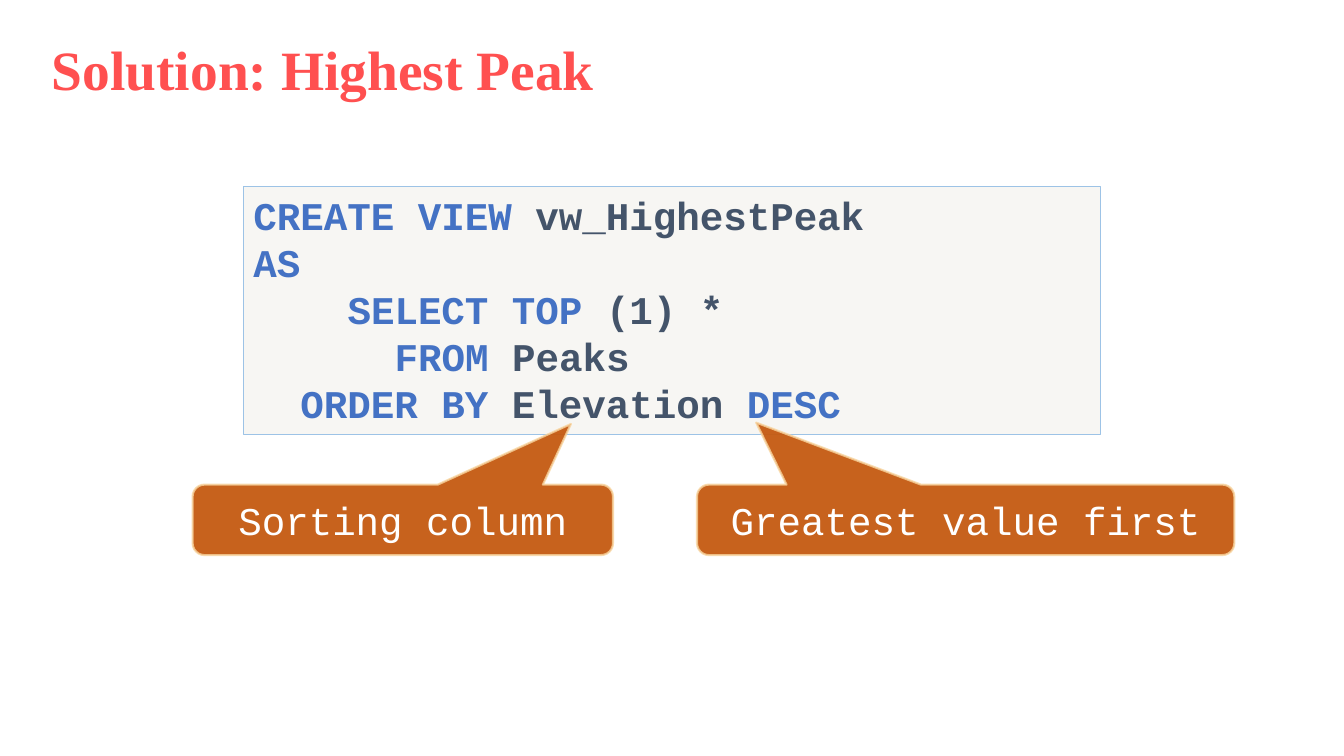
from lxml import etree
from pptx import Presentation
from pptx.dml.color import RGBColor
from pptx.enum.shapes import MSO_SHAPE
from pptx.enum.text import MSO_ANCHOR, PP_ALIGN
from pptx.oxml.ns import qn
from pptx.util import Inches, Pt

RECTANGLE = MSO_SHAPE.RECTANGLE
CALLOUT = MSO_SHAPE.ROUNDED_RECTANGULAR_CALLOUT
TOP, MIDDLE = MSO_ANCHOR.TOP, MSO_ANCHOR.MIDDLE
LEFT, CENTER = PP_ALIGN.LEFT, PP_ALIGN.CENTER

RED = RGBColor(0xFF, 0x50, 0x50)
KEYWORD = RGBColor(0x44, 0x72, 0xC4)
NAME = RGBColor(0x44, 0x54, 0x6A)
BEIGE = RGBColor(0xD9, 0xD5, 0xC7)
SKY = RGBColor(0x9D, 0xC3, 0xE6)
ORANGE = RGBColor(0xC5, 0x5A, 0x11)
SAND = RGBColor(0xF8, 0xD4, 0x9E)
WHITE = RGBColor(0xFF, 0xFF, 0xFF)

# Each line of code: indent in characters, then its runs
CODE = [
    (0, [("CREATE VIEW ", KEYWORD), ("vw_HighestPeak", NAME)]),
    (0, [("AS", KEYWORD)]),
    (4, [("SELECT TOP ", KEYWORD), ("(1) *", NAME)]),
    (6, [("FROM", KEYWORD), (" Peaks", NAME)]),
    (2, [("ORDER BY ", KEYWORD), ("Elevation ", NAME), ("DESC", KEYWORD)]),
]

# Text, left and width in percent of the slide, pointer offset
CALLOUTS = [
    ("Greatest value first", 51.86, 39.98, (-0.39, -1.38)),
    ("Sorting column", 14.33, 31.28, (0.4, -1.36)),
]


class SlideBuilder:
    """Holds the style and the slide; lengths are percent of the slide."""

    title_font, title_size = "Times New Roman", 39.6
    code_font, code_size = "Courier New", 28
    character_width = Pt(0.6 * code_size)

    def __init__(self, presentation):
        self.width = presentation.slide_width
        self.height = presentation.slide_height
        self.slide = presentation.slides.add_slide(presentation.slide_layouts[5])

    def place(self, left, top, width, height):
        return [int(share * side / 100) for share, side in
                zip((left, top, width, height), (self.width, self.height) * 2)]

    def run(self, paragraph, text, color, font, size, bold):
        run = paragraph.add_run()
        run.text = text
        run.font.name, run.font.size, run.font.bold = font, Pt(size), bold
        run.font.color.rgb = color

    def title(self, text, box):
        shape = self.slide.shapes.title
        shape.left, shape.top, shape.width, shape.height = self.place(*box)
        shape.text_frame.vertical_anchor = MIDDLE
        paragraph = shape.text_frame.paragraphs[0]
        paragraph.alignment, paragraph.line_spacing = LEFT, 0.8
        self.run(paragraph, text, RED, self.title_font, self.title_size, True)

    def set_opacity(self, fill, percent):
        color = fill.find(qn("a:srgbClr"))
        etree.SubElement(color, qn("a:alpha")).set("val", str(percent * 1000))

    def panel(self, kind, box, fill, line, line_width, opacity, line_opacity=100):
        shape = self.slide.shapes.add_shape(kind, *self.place(*box))
        shape.shadow.inherit = False
        shape.fill.solid()
        shape.fill.fore_color.rgb = fill
        shape.line.color.rgb = line
        shape.line.width = Pt(line_width)
        properties = shape.fill._xPr
        self.set_opacity(properties.find(qn("a:solidFill")), opacity)
        outline = properties.find(qn("a:ln"))
        self.set_opacity(outline.find(qn("a:solidFill")), line_opacity)
        shape.text_frame.word_wrap = True
        return shape

    def code(self, lines, box):
        frame = self.panel(RECTANGLE, box, BEIGE, SKY, 1, 20).text_frame
        frame.vertical_anchor = TOP
        for number, (indent, runs) in enumerate(lines):
            paragraph = frame.add_paragraph() if number else frame.paragraphs[0]
            paragraph.alignment = LEFT
            margin = int(indent * self.character_width)
            paragraph._p.get_or_add_pPr().set("marL", str(margin))
            for text, color in runs:
                self.run(paragraph, text, color, self.code_font, self.code_size, True)

    def callout(self, text, box, pointer):
        shape = self.panel(CALLOUT, box, ORANGE, SAND, 1.5, 95, 80)
        for index, value in enumerate((*pointer, 0.17)):
            shape.adjustments[index] = value
        shape.text_frame.vertical_anchor = MIDDLE
        paragraph = shape.text_frame.paragraphs[0]
        paragraph.alignment = CENTER
        self.run(paragraph, text, WHITE, self.code_font, self.code_size, False)


def main():
    presentation = Presentation()
    presentation.slide_width, presentation.slide_height = Inches(13.33), Inches(7.5)
    builder = SlideBuilder(presentation)

    # Title and code
    builder.title("Solution: Highest Peak", (3.1, 5.5, 86.27, 8.67))
    builder.code(CODE, (18.12, 24.67, 63.75, 32.8))

    # Explanations under the code
    for text, left, width, pointer in CALLOUTS:
        builder.callout(text, (left, 64.1, width, 9.33), pointer)

    presentation.save("out.pptx")


if __name__ == "__main__":
    main()
